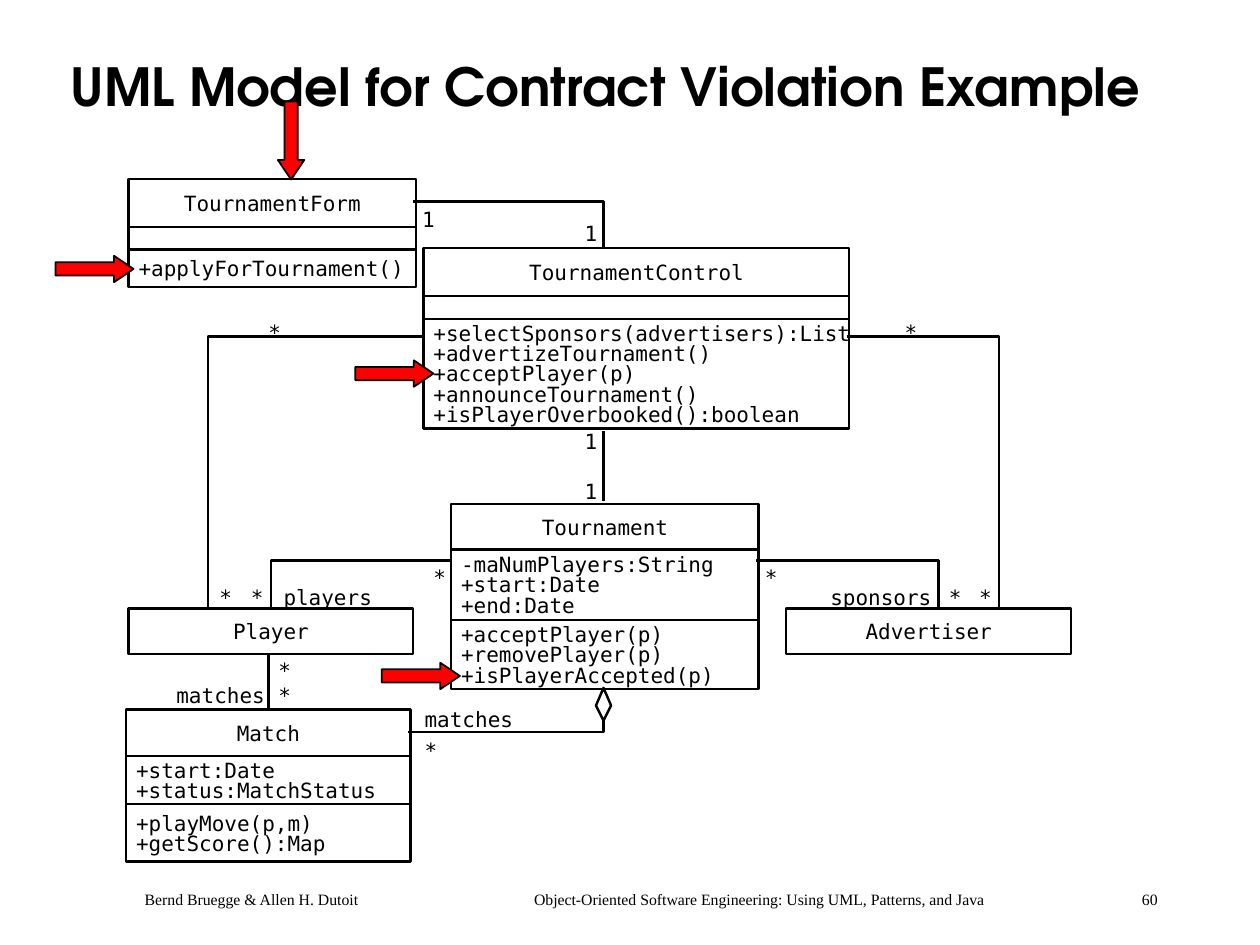
from lxml import etree
from pptx import Presentation
from pptx import util as u
from pptx.dml.color import RGBColor
from pptx.enum import shapes, text
from pptx.oxml import ns

COLORS = {"ink": "000000", "paper": "FFFFFF", "highlight": "FF0000"}
TITLE_FONT = {"name": "TeX Gyre Adventor", "size": u.Pt(30), "bold": True}
CODE_FONT = {"name": "DejaVu Sans Mono", "size": u.Pt(12)}
FOOTER_FONT = {"name": "Times New Roman", "size": u.Pt(9)}
UML_LINE = 1.39
CHAR_WIDTH, LINE_HEIGHT, LINE_PITCH = 0.1, 0.2, 0.16
LABEL_SLACK = 0.05

# left, top, width, then (height, lines) per compartment, name first
CLASSES = [
    (1.02, 1.42, 2.28, [(0.38, ["TournamentForm"]), (0.18, []),
                        (0.3, ["+applyForTournament()"])]),
    (3.36, 1.97, 3.38, [(0.38, ["TournamentControl"]), (0.18, []),
                        (0.87, ["+selectSponsors(advertisers):List",
                                "+advertizeTournament()",
                                "+acceptPlayer(p)",
                                "+announceTournament()",
                                "+isPlayerOverbooked():boolean"])]),
    (3.58, 4, 2.44, [(0.36, ["Tournament"]),
                     (0.56, ["-maNumPlayers:String", "+start:Date", "+end:Date"]),
                     (0.55, ["+acceptPlayer(p)", "+removePlayer(p)",
                             "+isPlayerAccepted(p)"])]),
    (1.02, 4.83, 2.26, [(0.36, ["Player"])]),
    (6.24, 4.83, 2.26, [(0.36, ["Advertiser"])]),
    (1, 5.63, 2.26, [(0.37, ["Match"]),
                     (0.38, ["+start:Date", "+status:MatchStatus"]),
                     (0.46, ["+playMove(p,m)", "+getScore():Map"])]),
]
BENT_ASSOCIATIONS = [
    [(3.28, 1.6), (4.79, 1.6), (4.79, 1.97)],
    [(1.65, 4.83), (1.65, 2.67), (3.36, 2.67)],
    [(7.93, 4.83), (7.93, 2.67), (6.72, 2.67)],
    [(2.15, 4.83), (2.15, 4.45), (3.58, 4.45)],
    [(7.45, 4.83), (7.45, 4.45), (6, 4.45)],
    [(3.24, 5.81), (4.79, 5.81), (4.79, 5.5)],
]
STRAIGHT_ASSOCIATIONS = [((4.79, 3.42), (4.79, 3.98)), ((2.13, 5.63), (2.13, 5.19))]
AGGREGATION = [(4.73, 5.6), (4.79, 5.46), (4.85, 5.6), (4.79, 5.72)]
END_LABELS = {
    "1": [(3.35, 1.64), (4.64, 1.75), (4.64, 3.4), (4.64, 3.8)],
    "*": [(2.13, 2.54), (7.18, 2.54), (3.44, 4.48), (6.07, 4.48),
          (1.74, 4.64), (1.99, 4.64), (7.53, 4.64), (7.77, 4.64),
          (2.21, 5.22), (2.21, 5.42), (3.37, 5.85)],
    "players": [(2.25, 4.64)],
    "sponsors": [(6.59, 4.64)],
    "matches": [(1.4, 5.42), (3.37, 5.61)],
}
# left, top, rotation
CONTRACT_ARROWS = [(3.03, 5.26, 0), (2.82, 2.86, 0), (2, 1.01, 90), (0.44, 2.03, 0)]


def color(name):
    return RGBColor.from_string(COLORS[name])


def apply_format(target, values):
    for attribute, value in values.items():
        setattr(target, attribute, value)


def write(paragraph, words, font):
    run = paragraph.add_run()
    run.text = words
    apply_format(run.font, font)
    run.font.color.rgb = color("ink")


def style_outline(shape, width=UML_LINE, fill=None):
    shape.shadow.inherit = False
    if fill:
        shape.fill.solid()
        shape.fill.fore_color.rgb = color(fill)
    else:
        shape.fill.background()
    shape.line.color.rgb = color("ink")
    shape.line.width = u.Pt(width)


def add_title(slide):
    title = slide.shapes.title
    apply_format(title, {"left": u.Inches(0.46), "top": u.Inches(0.24),
                         "width": u.Inches(8.92), "height": u.Inches(0.94)})
    apply_format(title.text_frame, {"vertical_anchor": text.MSO_ANCHOR.MIDDLE,
                                    "auto_size": text.MSO_AUTO_SIZE.NONE})
    heading = title.text_frame.paragraphs[0]
    apply_format(heading, {"alignment": text.PP_ALIGN.LEFT, "line_spacing": 0.9})
    write(heading, "UML Model for Contract Violation Example", TITLE_FONT)


def add_footer(slide):
    footer = slide.shapes.add_textbox(u.Inches(1.05), u.Inches(7.01),
                                      u.Inches(8.7), u.Inches(0.25))
    footer.text_frame.word_wrap = True
    credit = footer.text_frame.paragraphs[0]
    stops = etree.SubElement(credit._p.get_or_add_pPr(), ns.qn("a:tabLst"))
    for position, alignment in ((3.09, "l"), (8.04, "r")):
        etree.SubElement(stops, ns.qn("a:tab"), pos=str(u.Inches(position)), algn=alignment)
    parts = ["Bernd Bruegge & Allen H. Dutoit",
             "Object-Oriented Software Engineering: Using UML, Patterns, and Java", "60"]
    write(credit, "\t".join(parts), FOOTER_FONT)


def add_label(slide, words, left, top):
    width = CHAR_WIDTH * len(words) + LABEL_SLACK
    label = slide.shapes.add_textbox(u.Inches(left), u.Inches(top),
                                     u.Inches(width), u.Inches(LINE_HEIGHT))
    apply_format(label.text_frame, {"margin_left": 0, "margin_right": 0, "margin_top": 0,
                                    "margin_bottom": 0, "word_wrap": False})
    write(label.text_frame.paragraphs[0], words, CODE_FONT)


def add_class(slide, left, top, width, compartments):
    """Stack the compartments; centre the name, indent the members."""
    for index, (height, lines) in enumerate(compartments):
        box = slide.shapes.add_shape(shapes.MSO_SHAPE.RECTANGLE, u.Inches(left), u.Inches(top),
                                     u.Inches(width), u.Inches(height))
        style_outline(box)
        block_height = LINE_HEIGHT + LINE_PITCH * (len(lines) - 1)
        first_line = top + (height - block_height) / 2
        for row, words in enumerate(lines):
            indent = 0.08 if index else (width - CHAR_WIDTH * len(words)) / 2
            add_label(slide, words, left + indent, first_line + row * LINE_PITCH)
        top += height


def add_polyline(slide, points, closed=False, fill=None):
    start, *rest = [(u.Inches(x), u.Inches(y)) for x, y in points]
    builder = slide.shapes.build_freeform(*start)
    builder.add_line_segments(rest, close=closed)
    style_outline(builder.convert_to_shape(), fill=fill)


def add_straight_line(slide, start, end):
    line = slide.shapes.add_connector(shapes.MSO_CONNECTOR.STRAIGHT,
                                      *(u.Inches(value) for value in (*start, *end)))
    line.line.color.rgb = color("ink")
    line.line.width = u.Pt(UML_LINE)
    etree.SubElement(line._element.spPr, ns.qn("a:effectLst"))


def add_contract_arrow(slide, left, top, rotation):
    arrow = slide.shapes.add_shape(shapes.MSO_SHAPE.RIGHT_ARROW, u.Inches(left), u.Inches(top),
                                   u.Inches(0.62), u.Inches(0.21))
    arrow.adjustments[0], arrow.adjustments[1] = 0.5, 0.74
    arrow.rotation = rotation
    style_outline(arrow, 1, "highlight")


def main():
    deck = Presentation()
    deck.slide_width, deck.slide_height = u.Inches(10), u.Inches(7.5)
    slide = deck.slides.add_slide(deck.slide_layouts[5])
    add_footer(slide)
    add_title(slide)
    for uml_class in CLASSES:
        add_class(slide, *uml_class)
    for points in BENT_ASSOCIATIONS:
        add_polyline(slide, points)
    for start, end in STRAIGHT_ASSOCIATIONS:
        add_straight_line(slide, start, end)
    add_polyline(slide, AGGREGATION, closed=True, fill="paper")
    for words, places in END_LABELS.items():
        for left, top in places:
            add_label(slide, words, left, top)
    for arrow in CONTRACT_ARROWS:
        add_contract_arrow(slide, *arrow)
    deck.save("out.pptx")


if __name__ == "__main__":
    main()
